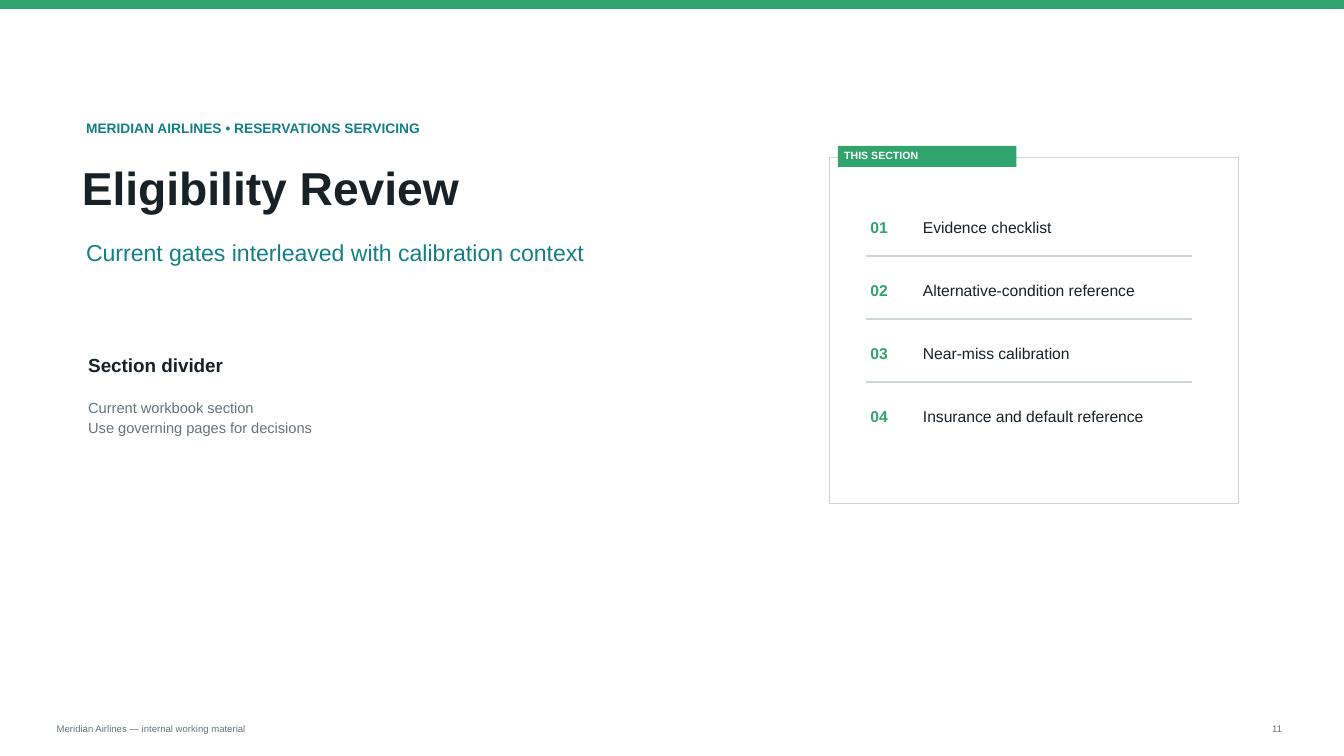
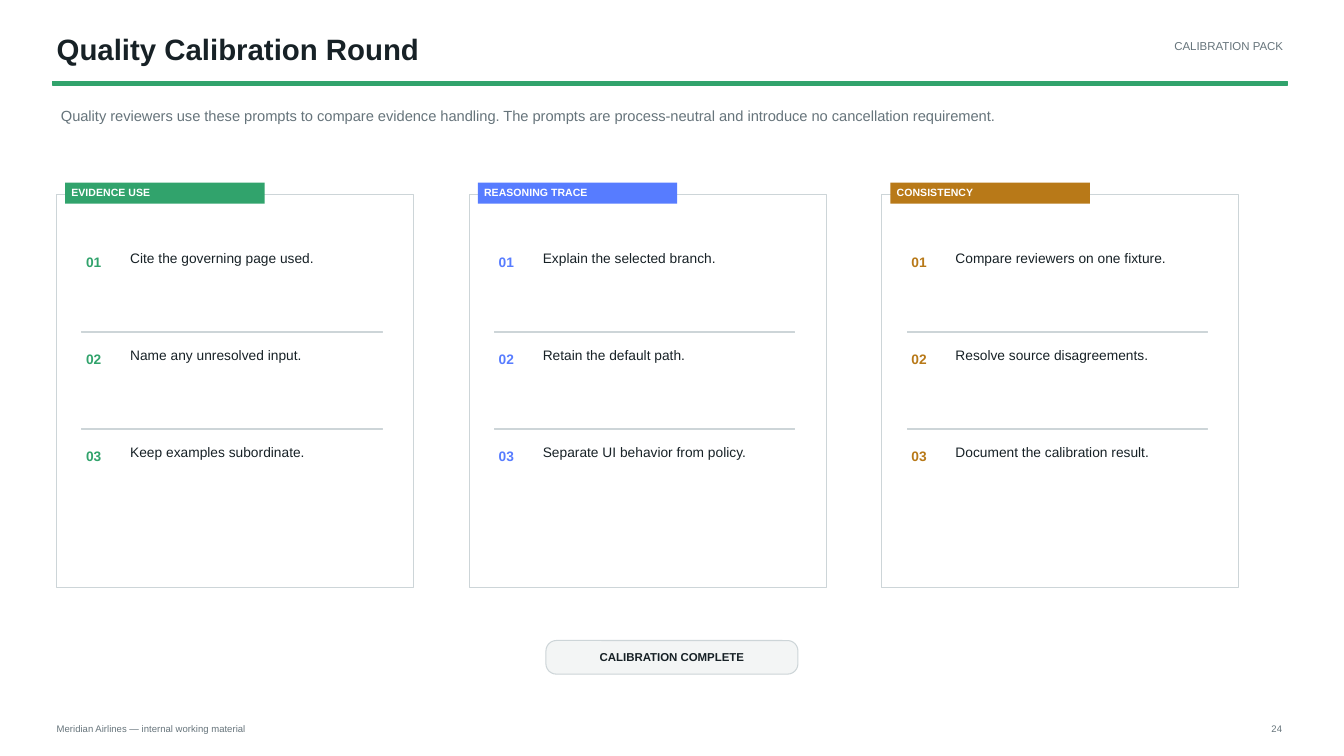
from pptx import Presentation
from pptx.dml.color import RGBColor
from pptx.enum import shapes, text
from pptx import util as u

COLUMNS, ROWS = 1280, 720
CELL = u.Inches(7.5) // ROWS
FONT = "Arial"
COLORS = {
    "ink": "172126", "muted": "66747B", "line": "CDD5D8", "pale": "F3F5F5",
    "white": "FFFFFF", "teal": "137F86", "green": "31A36C",
    "blue": "577CFF", "amber": "B87918",
}
LEFT, CENTER, RIGHT = text.PP_ALIGN.LEFT, text.PP_ALIGN.CENTER, text.PP_ALIGN.RIGHT


def color(name):
    return RGBColor.from_string(COLORS[name])


def write(box, words, size=9.8, tone="ink", bold=False, align=LEFT, spacing=None,
          anchor=text.MSO_ANCHOR.TOP, margins=(4, 2, 4, 2)):
    """Fill a box with one paragraph per line of words, in one format."""
    frame = box.text_frame
    frame.word_wrap = True
    frame.vertical_anchor = anchor
    (frame.margin_left, frame.margin_top,
     frame.margin_right, frame.margin_bottom) = [m * CELL for m in margins]
    for index, line in enumerate(words.split("\n")):
        para = frame.add_paragraph() if index else frame.paragraphs[0]
        para.alignment = align
        if spacing:
            para.line_spacing = spacing
        span = para.add_run()
        span.text = line
        span.font.name, span.font.size, span.font.bold = FONT, u.Pt(size), bold
        span.font.color.rgb = color(tone)


class Workbook:
    """Hold the deck's style and current page; lengths are grid columns and rows."""

    def __init__(self):
        self.deck = Presentation()
        self.deck.slide_width, self.deck.slide_height = COLUMNS * CELL, ROWS * CELL
        self.page = None

    def new_page(self, number):
        self.page = self.deck.slides.add_slide(self.deck.slide_layouts[6])
        self.label("Meridian Airlines — internal working material",
                   50, 687, 300, 18, size=6.8, tone="muted")
        self.label(str(number), 1175, 687, 50, 18, size=6.8, tone="muted", align=RIGHT)

    def label(self, words, left, top, width, height, **style):
        box = self.page.shapes.add_textbox(
            left * CELL, top * CELL, width * CELL, height * CELL)
        write(box, words, **style)

    def block(self, left, top, width, height, fill=None, line=None, weight=0.75,
              kind=shapes.MSO_SHAPE.RECTANGLE):
        box = self.page.shapes.add_shape(
            kind, left * CELL, top * CELL, width * CELL, height * CELL)
        box.shadow.inherit = False
        for paint, tone in ((box.fill, fill), (box.line.fill, line)):
            if tone:
                paint.solid()
                paint.fore_color.rgb = color(tone)
            else:
                paint.background()
        if line:
            box.line.width = u.Pt(weight)
        return box

    def bar(self, left, top, width, height, tone):
        self.block(left, top, width, height, fill=tone, line=tone, weight=0)

    def panel(self, left, top, width, height, heading, tag_width, tone):
        self.block(left, top, width, height, line="line")
        tag = self.block(left + 8, top - 11, tag_width, 20, fill=tone)
        write(tag, heading, size=7.5, tone="white", bold=True, margins=(6, 3, 6, 2))

    def steps(self, items, left, top, width, pitch, tone, indent, rule_drop,
              number_width, item_width, item_height, lift=0, size=9.8, spacing=None):
        for index, item in enumerate(items):
            y = top + index * pitch
            self.label(f"{index + 1:02}", left, y, number_width, 28,
                       size=size, tone=tone, bold=True)
            self.label(item, left + indent, y - lift, item_width, item_height,
                       size=size, spacing=spacing)
            if index < len(items) - 1:
                self.bar(left, y + rule_drop, width, 1, "line")

    def pill(self, words, left, top, width, height):
        box = self.block(left, top, width, height, fill="pale", line="line",
                         kind=shapes.MSO_SHAPE.ROUNDED_RECTANGLE)
        box.adjustments[0] = 0.31
        write(box, words, size=8.2, bold=True, align=CENTER, spacing=0.96,
              anchor=text.MSO_ANCHOR.MIDDLE, margins=(6, 3, 6, 3))


def section_page(book):
    book.new_page(11)
    book.bar(0, 0, COLUMNS, 8, "green")
    book.label("MERIDIAN AIRLINES • RESERVATIONS SERVICING", 78, 112, 680, 24,
               tone="teal", bold=True)
    book.label("Eligibility Review", 74, 150, 680, 66, size=33, bold=True)
    book.label("Current gates interleaved with calibration context",
               78, 225, 720, 38, size=16.5, tone="teal")
    book.label("Section divider", 80, 335, 360, 32, size=13.5, bold=True)
    book.label("Current workbook section\nUse governing pages for decisions",
               80, 375, 480, 72, size=10.5, tone="muted", spacing=1.15)
    book.panel(790, 150, 390, 330, "THIS SECTION", 170, "green")
    topics = ["Evidence checklist", "Alternative-condition reference",
              "Near-miss calibration", "Insurance and default reference"]
    book.steps(topics, 825, 205, 310, 60, "green", indent=50, rule_drop=38,
               number_width=38, item_width=260, item_height=32, size=11.2)


def calibration_page(book):
    book.new_page(24)
    book.label("Quality Calibration Round", 50, 28, 850, 42, size=21, bold=True)
    book.label("CALIBRATION PACK", 902, 35, 324, 30, size=8.2, tone="muted", align=RIGHT)
    book.bar(50, 78, 1176, 3, "green")
    book.label("Quality reviewers use these prompts to compare evidence handling. "
               "The prompts are process-neutral and introduce no cancellation requirement.",
               54, 100, 1120, 42, size=10.5, tone="muted")
    groups = [
        ("EVIDENCE USE", "green", ["Cite the governing page used.",
                                   "Name any unresolved input.",
                                   "Keep examples subordinate."]),
        ("REASONING TRACE", "blue", ["Explain the selected branch.",
                                     "Retain the default path.",
                                     "Separate UI behavior from policy."]),
        ("CONSISTENCY", "amber", ["Compare reviewers on one fixture.",
                                  "Resolve source disagreements.",
                                  "Document the calibration result."]),
    ]
    for column, (heading, tone, prompts) in enumerate(groups):
        left = 54 + column * 393
        book.panel(left, 185, 340, 375, heading, 190, tone)
        book.steps(prompts, left + 24, 240, 286, 92, tone, indent=42, rule_drop=76,
                   number_width=34, item_width=245, item_height=66, lift=5, spacing=1.08)
    book.pill("CALIBRATION COMPLETE", 520, 610, 240, 32)


def main():
    book = Workbook()
    section_page(book)
    calibration_page(book)
    book.deck.save("out.pptx")


if __name__ == "__main__":
    main()
